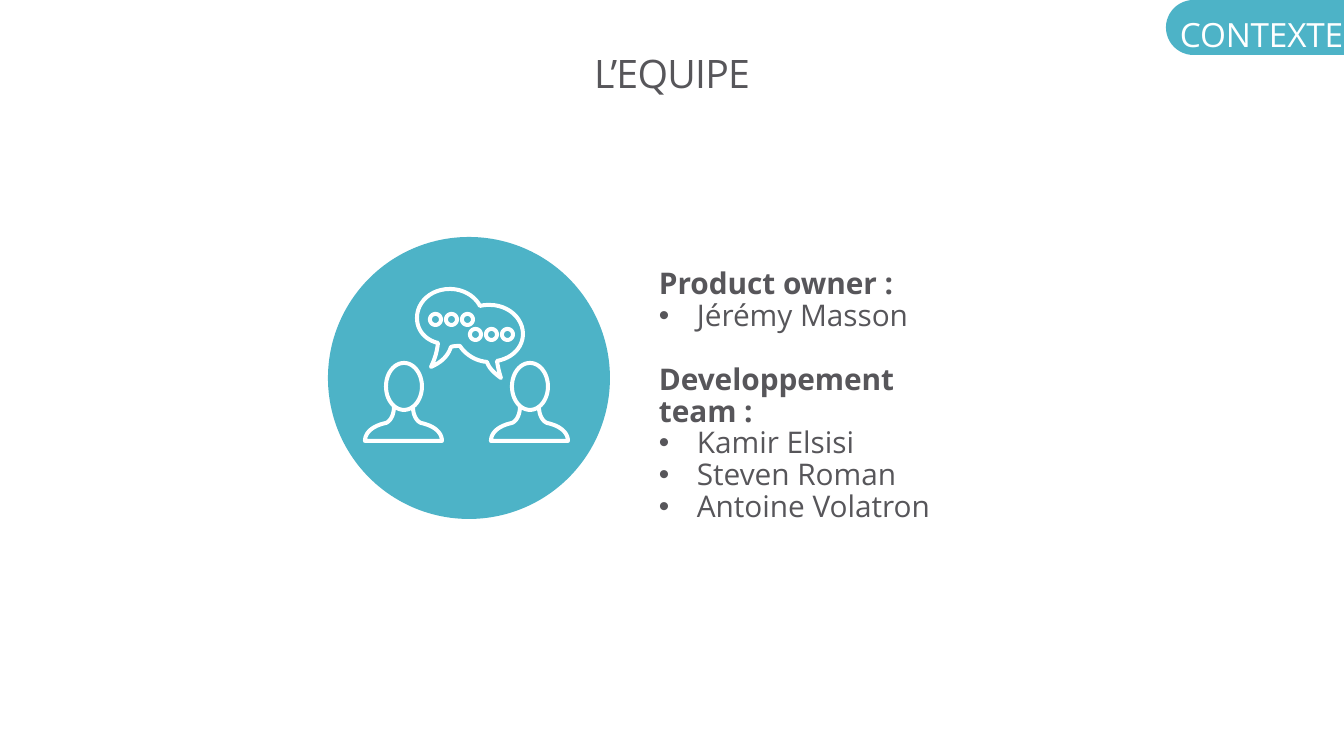
from dataclasses import dataclass
from math import cos, sin, tau

from lxml.etree import SubElement
from pptx import Presentation
from pptx.dml.color import RGBColor
from pptx.enum.shapes import MSO_SHAPE as Shape
from pptx.enum.text import MSO_ANCHOR as Anchor, PP_ALIGN as Align
from pptx.oxml.ns import qn
from pptx.util import Pt

PX = 914400 / 100.8


@dataclass(frozen=True)
class Theme:
    font: str = "Open Sans"
    teal: RGBColor = RGBColor(0x4D, 0xB3, 0xC7)
    grey: RGBColor = RGBColor(0x57, 0x56, 0x5A)
    white: RGBColor = RGBColor(0xFF, 0xFF, 0xFF)
    title_size: float = 28
    tab_size: float = 23.8
    body_size: float = 21.3


theme = Theme()


def px(*lengths):
    return [round(length * PX) for length in lengths]


def style(paragraph, size, color, bold=False, tracking=0):
    font = paragraph.font
    font.name, font.size, font.bold = theme.font, Pt(size), bold
    font.color.rgb = color
    if tracking:
        paragraph.runs[0]._r.get_or_add_rPr().set("spc", str(tracking))


presentation = Presentation()
presentation.slide_width, presentation.slide_height = px(1344, 756)
slide = presentation.slides.add_slide(presentation.slide_layouts[5])
shapes = slide.shapes

title = shapes.title
title.left, title.top, title.width, title.height = px(101, 31, 1142, 90)
frame = title.text_frame
frame.text = "L’EQUIPE"
frame.vertical_anchor = Anchor.MIDDLE
frame.margin_left = frame.margin_top = frame.margin_right = frame.margin_bottom = 0
paragraph = frame.paragraphs[0]
paragraph.alignment = Align.CENTER
paragraph.line_spacing = 0.86
style(paragraph, theme.title_size, theme.grey, tracking=-50)

team_box = shapes.add_textbox(*px(632, 264, 384, 273))
frame = team_box.text_frame
frame.word_wrap = True
frame.margin_left, frame.margin_top, frame.margin_right, frame.margin_bottom = px(27, 5, 27, 11)
team = {
    "Product owner :": ["Jérémy Masson"],
    "Developpement team :": ["Kamir Elsisi", "Steven Roman", "Antoine Volatron"],
}
paragraph = frame.paragraphs[0]
for role, members in team.items():
    if paragraph.text:
        paragraph = frame.add_paragraph()
        paragraph.space_before = Pt(23)
    paragraph.text = role
    paragraph.line_spacing = 0.89
    style(paragraph, theme.body_size, theme.grey, bold=True)
    for member in members:
        paragraph = frame.add_paragraph()
        paragraph.text = member
        paragraph.line_spacing = 0.89
        properties = paragraph._p.get_or_add_pPr()
        indent = px(38)[0]
        properties.set("marL", str(indent))
        properties.set("indent", str(-indent))
        SubElement(properties, qn("a:buFont")).set("typeface", "Arial")
        SubElement(properties, qn("a:buChar")).set("char", "•")
        style(paragraph, theme.body_size, theme.grey)

for kind, box in [
    (Shape.OVAL, (328, 237, 282, 282)),
    (Shape.ROUNDED_RECTANGLE, (1166, 0, 235, 55)),
]:
    panel = shapes.add_shape(kind, *px(*box))
    panel.shadow.inherit = False
    panel.fill.solid()
    panel.fill.fore_color.rgb = theme.teal
    panel.line.fill.background()
panel.adjustments[0] = 0.5

bubbles = [
    (480, 306), (475, 296), (463, 289), (450, 289),
    (431, 289), (417, 302), (417, 318),
    (417, 330), (425, 340), (438, 343),
    (437, 353), (434, 361), (431, 367),
    (442, 362), (448, 356), (451, 347),
    (454, 346), (457, 346), (460, 346),
    (465, 354), (475, 361), (487, 362),
    (489, 368), (494, 373), (501, 378),
    (499, 372), (498, 367), (497, 361),
    (513, 358), (523, 347), (523, 334),
    (523, 318), (508, 305), (490, 305),
    (487, 305), (484, 305), (480, 306),
]
left_shoulder = [
    (394, 407), (394, 414), (391, 421), (386, 423),
    (372, 426), (365, 433), (365, 441),
]
right_shoulder = [(807 - x, y) for x, y in reversed(left_shoulder)]
bust = left_shoulder + [(391, 441), (416, 441)] + right_shoulder

people = (0, 126)
curves = [(bubbles, True)]
curves += [([(x + shift, y) for x, y in bust], False) for shift in people]
outlines = []
for controls, closed in curves:
    points = [px(*controls[0])]
    for start in range(0, len(controls) - 1, 3):
        a, b, c, d = controls[start:start + 4]
        for step in range(1, 13):
            t = step / 12
            u = 1 - t
            points.append(px(*(
                u**3 * a[axis] + 3 * u**2 * t * b[axis] + 3 * u * t**2 * c[axis] + t**3 * d[axis]
                for axis in (0, 1)
            )))
    outlines.append((points, closed))

ovals = [(386 + shift, 363, 36, 47) for shift in people]
for left, top in [(430, 314), (470, 329)]:
    ovals += [(left + 16 * column, top, 11, 11) for column in range(3)]
for left, top, width, height in ovals:
    angles = [tau * step / 48 for step in range(48)]
    points = [
        px(left + width * (1 + cos(angle)) / 2, top + height * (1 + sin(angle)) / 2)
        for angle in angles
    ]
    outlines.append((points, True))

builder = shapes.build_freeform(*outlines[0][0][0], scale=1.0)
for index, (points, closed) in enumerate(outlines):
    if index:
        builder.move_to(*points[0])
    builder.add_line_segments(points[1:], close=closed)
icon = builder.convert_to_shape()
icon.shadow.inherit = False
icon.fill.background()
icon.line.color.rgb = theme.white
icon.line.width = px(4)[0]
stroke = icon.line._get_or_add_ln()
stroke.set("cap", "rnd")
SubElement(stroke, qn("a:round"))

tab_label = shapes.add_textbox(*px(1170, 9, 192, 44))
frame = tab_label.text_frame
frame.word_wrap = True
frame.text = "CONTEXTE"
style(frame.paragraphs[0], theme.tab_size, theme.white, tracking=-10)

presentation.save("out.pptx")
